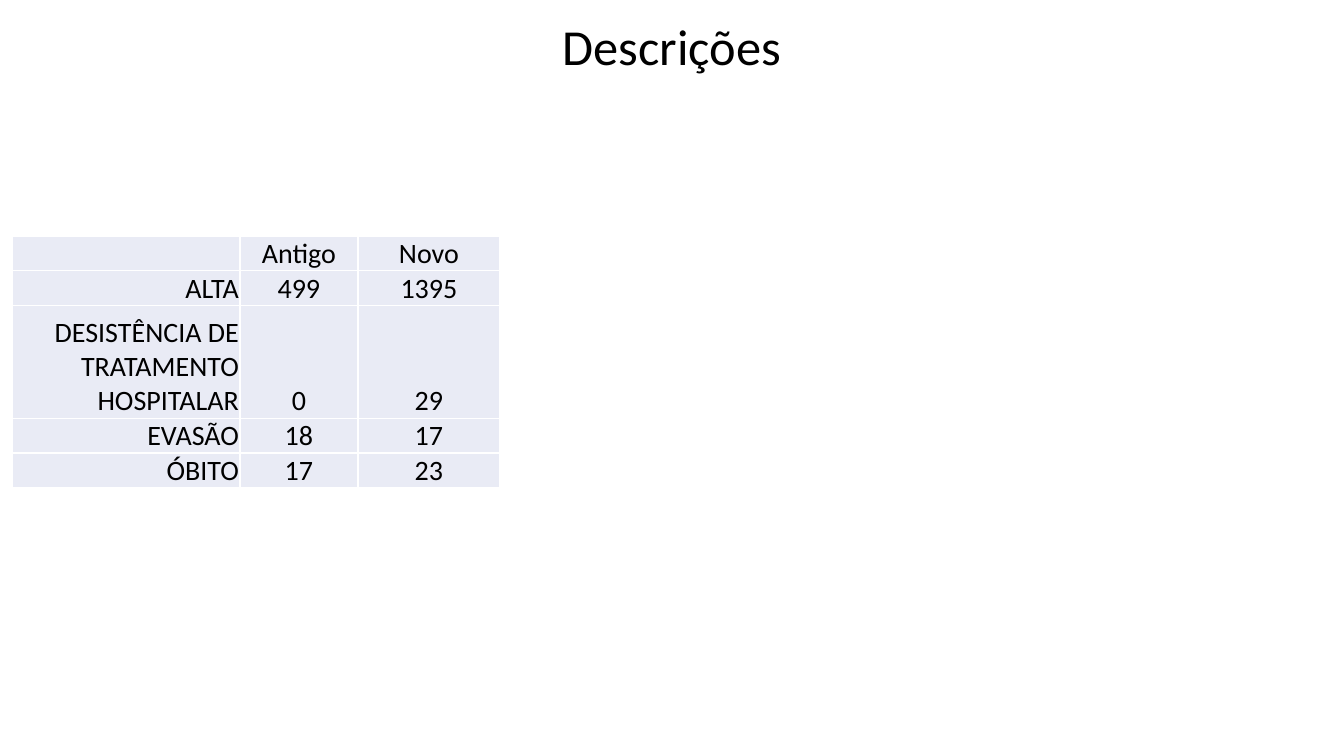
from lxml.etree import SubElement
from pptx import Presentation
from pptx.dml.color import RGBColor
from pptx.enum.text import MSO_ANCHOR, MSO_AUTO_SIZE, PP_ALIGN
from pptx.oxml.ns import qn
from pptx.util import Pt

PX = 12192000 // 1344
BORDERS = ("a:lnL", "a:lnR", "a:lnT", "a:lnB")
COLUMN_WIDTHS = (228, 118, 142)
ROW_HEIGHTS = (34, 34, 113, 34, 34)
OUTCOMES = (
    ("", "Antigo", "Novo"),
    ("ALTA", "499", "1395"),
    ("DESISTÊNCIA DE TRATAMENTO HOSPITALAR", "0", "29"),
    ("EVASÃO", "18", "17"),
    ("ÓBITO", "17", "23"),
)


def color(value):
    return RGBColor.from_string(value)


def write(frame, text, size, alignment):
    para = frame.paragraphs[0]
    para.alignment = alignment
    if text:
        span = para.add_run()
        span.text = text
        for name, value in {"name": "Calibri", "size": Pt(size), "bold": False}.items():
            setattr(span.font, name, value)
        span.font.color.rgb = color("000000")


deck = Presentation()
deck.slide_width, deck.slide_height = 1344 * PX, 756 * PX
page = deck.slides.add_slide(deck.slide_layouts[5])

title = page.shapes.title
for name, value in {"left": 0, "top": 10, "width": 1344, "height": 71}.items():
    setattr(title, name, value * PX)
frame = title.text_frame
for name, value in {
    "word_wrap": True,
    "auto_size": MSO_AUTO_SIZE.SHAPE_TO_FIT_TEXT,
    "vertical_anchor": MSO_ANCHOR.TOP,
}.items():
    setattr(frame, name, value)
write(frame, "Descrições", 36, PP_ALIGN.CENTER)

table = page.shapes.add_table(
    len(ROW_HEIGHTS), len(COLUMN_WIDTHS),
    12 * PX, 236 * PX, sum(COLUMN_WIDTHS) * PX, sum(ROW_HEIGHTS) * PX,
).table
for column, width in zip(table.columns, COLUMN_WIDTHS):
    column.width = width * PX
for row, height, texts in zip(table.rows, ROW_HEIGHTS, OUTCOMES):
    row.height = height * PX
    for index, (cell, text) in enumerate(zip(row.cells, texts)):
        for name, value in {
            "margin_left": PX,
            "margin_right": PX,
            "margin_top": PX,
            "margin_bottom": 0,
            "vertical_anchor": MSO_ANCHOR.BOTTOM,
        }.items():
            setattr(cell, name, value)
        write(cell.text_frame, text, 20, PP_ALIGN.CENTER if index else PP_ALIGN.RIGHT)
        properties = cell._tc.get_or_add_tcPr()
        for border in BORDERS:
            line = SubElement(properties, qn(border), w=str(Pt(1)))
            SubElement(SubElement(line, qn("a:solidFill")), qn("a:srgbClr"), val="FFFFFF")
        cell.fill.solid()
        cell.fill.fore_color.rgb = color("E9EBF5")

deck.save("out.pptx")
